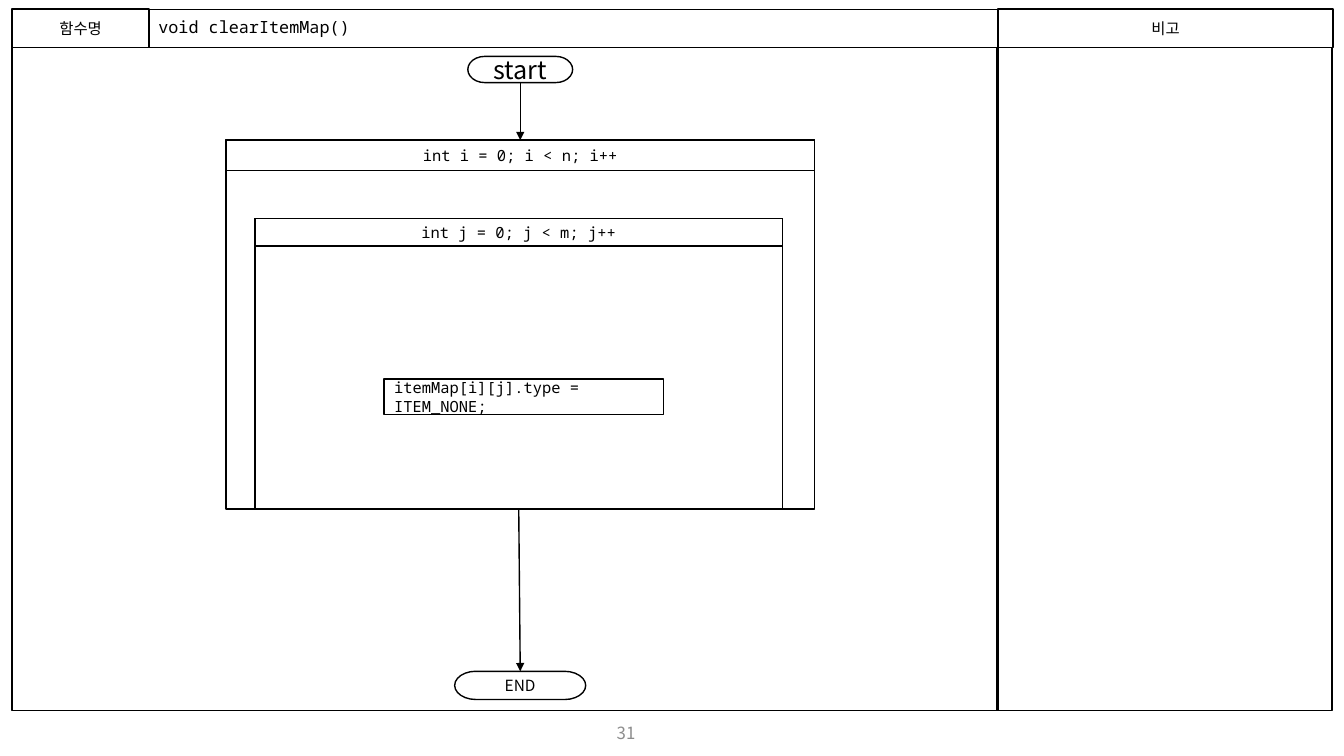
"""Build the flowchart slide for clearItemMap."""
from dataclasses import dataclass
from typing import Optional

from lxml import etree
from pptx import Presentation, util as u
from pptx.dml import color
from pptx.enum import shapes, text
from pptx.oxml import ns


@dataclass(frozen=True)
class Theme:
    """Colours, fonts and sizes of the slide."""
    ink: color.RGBColor = color.RGBColor(0, 0, 0)
    paper: color.RGBColor = color.RGBColor(255, 255, 255)
    gray: color.RGBColor = color.RGBColor(0x8C, 0x8C, 0x8C)
    sans: str = "Noto Sans CJK KR"
    mono: str = "Noto Sans Mono"
    small: int = 11
    normal: int = 12
    large: int = 18
    thin: float = 0.75
    line: float = 1


@dataclass(frozen=True)
class Box:
    """One outlined shape and its label."""
    left: float
    top: float
    width: float
    height: float
    label: str = ""
    kind: shapes.MSO_SHAPE = shapes.MSO_SHAPE.FLOWCHART_PROCESS
    font: str = Theme.mono
    size: int = Theme.small
    align: text.PP_ALIGN = text.PP_ALIGN.CENTER
    filled: bool = True


@dataclass(frozen=True)
class Link:
    """An arrow from the bottom of one box to the top of another."""
    start: Box
    end: Box


THEME = Theme()
RECT = shapes.MSO_SHAPE.RECTANGLE
PILL = shapes.MSO_SHAPE.FLOWCHART_TERMINATOR
TOP, HEAD, BODY = 0.09, 0.38, 6.58
LEFT, SPLIT, SIDE = 0.12, 9.9, 3.32

START = Box(4.64, 0.56, 1.04, 0.26, "start", PILL, THEME.sans, THEME.large)
END = Box(4.51, 6.66, 1.3, 0.28, "END", PILL, THEME.sans)
OUTER = Box(2.24, 1.39, 5.84, 3.66)
INNER = Box(2.53, 2.17, 5.23, 2.88)

BOXES = [
    Box(LEFT, TOP, 1.36, HEAD, "함수명", RECT, THEME.sans, filled=False),
    Box(SPLIT, TOP, SIDE, HEAD, "비고", RECT, THEME.sans, filled=False),
    Box(LEFT, TOP + HEAD, SPLIT - LEFT, BODY, kind=RECT, filled=False),
    Box(SPLIT - 0.01, TOP + HEAD, SIDE, BODY, kind=RECT, filled=False),
    START,
    END,
    OUTER,
    Box(OUTER.left, OUTER.top, OUTER.width, 0.3, "int i = 0; i < n; i++"),
    INNER,
    Box(INNER.left, INNER.top, INNER.width, 0.27, "int j = 0; j < m; j++"),
    Box(3.81, 3.76, 2.77, 0.35, "itemMap[i][j].type = ITEM_NONE;",
        align=text.PP_ALIGN.LEFT),
]
LINKS = [Link(START, OUTER), Link(INNER, END)]


def write(shape, label: str, font: str, size: int, align: text.PP_ALIGN,
          ink: color.RGBColor = THEME.ink, space: Optional[float] = None) -> None:
    """Put one formatted paragraph in a shape."""
    frame = shape.text_frame
    frame.word_wrap = True
    frame.auto_size = text.MSO_AUTO_SIZE.NONE
    frame.vertical_anchor = text.MSO_ANCHOR.MIDDLE
    para = frame.paragraphs[0]
    para.text = label
    para.alignment = align
    para.line_spacing = space
    para.font.name = font
    para.font.size = u.Pt(size)
    para.font.color.rgb = ink
    props = para._p.pPr.find(ns.qn("a:defRPr"))
    etree.SubElement(props, ns.qn("a:ea"), typeface=font)


def stroke(line, width: float = THEME.line) -> None:
    """Give a line the ink colour and a width."""
    line.color.rgb = THEME.ink
    line.width = u.Pt(width)


def draw(slide, box: Box):
    """Add one box."""
    area = map(u.Inches, (box.left, box.top, box.width, box.height))
    shape = slide.shapes.add_shape(box.kind, *area)
    shape.shadow.inherit = False
    if box.filled:
        shape.fill.solid()
        shape.fill.fore_color.rgb = THEME.paper
    else:
        shape.fill.background()
    stroke(shape.line)
    if box.label:
        write(shape, box.label, box.font, box.size, box.align)
    return shape


def join(slide, start, end) -> None:
    """Add an arrow between two shapes."""
    arrow = slide.shapes.add_connector(shapes.MSO_CONNECTOR.STRAIGHT, 0, 0, 0, 0)
    arrow.begin_connect(start, 2)
    arrow.end_connect(end, 0)
    stroke(arrow.line)
    etree.SubElement(arrow.line._get_or_add_ln(), ns.qn("a:tailEnd"), type="triangle")
    etree.SubElement(arrow._element.spPr, ns.qn("a:effectLst"))


def main() -> None:
    """Build and save the deck."""
    deck = Presentation()
    deck.slide_width, deck.slide_height = u.Inches(13.33), u.Inches(7.5)
    slide = deck.slides.add_slide(deck.slide_layouts[5])

    title = slide.shapes.title
    title.left, title.top = u.Inches(1.47), u.Inches(TOP)
    title.width, title.height = u.Inches(8.42), u.Inches(HEAD)
    stroke(title.line, THEME.thin)
    write(title, "void clearItemMap()", THEME.mono, THEME.normal,
          text.PP_ALIGN.LEFT, space=0.9)

    drawn = {box: draw(slide, box) for box in BOXES}
    for link in LINKS:
        join(slide, drawn[link.start], drawn[link.end])

    page = slide.shapes.add_textbox(*map(u.Inches, (4.71, 7.13, 3, 0.28)))
    write(page, "31", THEME.sans, THEME.normal, text.PP_ALIGN.CENTER, THEME.gray)
    deck.save("out.pptx")


if __name__ == "__main__":
    main()
